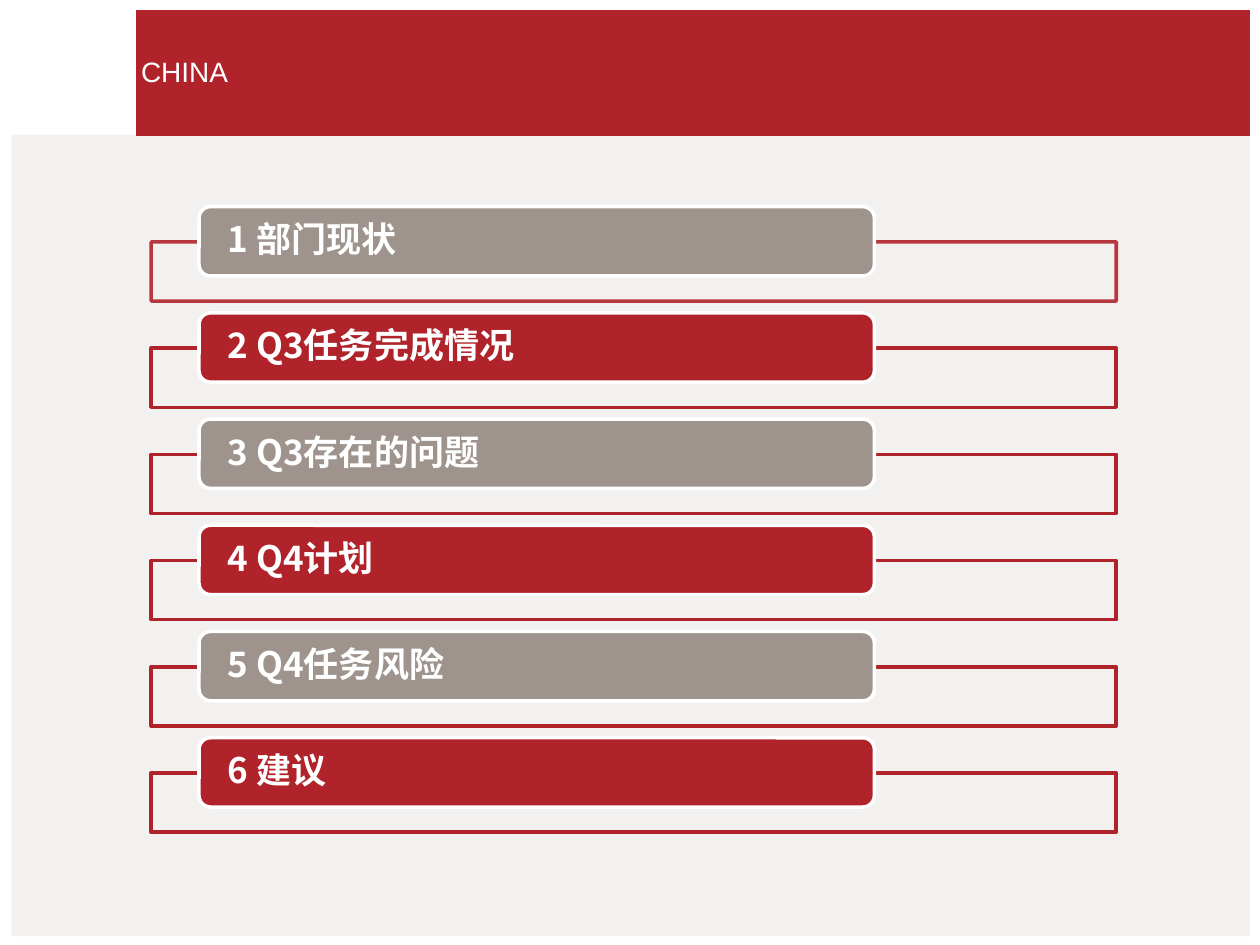
from dataclasses import dataclass
from typing import Optional

from lxml.etree import SubElement
from pptx import Presentation
from pptx.dml.color import RGBColor
from pptx.dml.fill import FillFormat
from pptx.enum.shapes import MSO_SHAPE
from pptx.enum.text import MSO_ANCHOR, MSO_AUTO_SIZE, PP_ALIGN
from pptx.oxml.ns import qn
from pptx.shapes.autoshape import Shape
from pptx.slide import Slide
from pptx.util import Inches, Pt

COLORS = {"red": "B0232A", "taupe": "9E948D", "panel": "EFEDEC", "white": "FFFFFF"}
FIRST_TOP = 1.64
ROW_PITCH = 0.843
FRAME_OFFSET = 0.28


@dataclass
class Area:
    left: float
    top: float
    width: float
    height: float


@dataclass
class AgendaItem:
    text: str
    color: str
    frame_opacity: int = 100


AGENDA = [
    AgendaItem("1 部门现状", "taupe", 90),
    AgendaItem("2 Q3任务完成情况", "red"),
    AgendaItem("3 Q3存在的问题", "taupe"),
    AgendaItem("4 Q4计划", "red"),
    AgendaItem("5 Q4任务风险", "taupe"),
    AgendaItem("6 建议", "red"),
]


def paint(fill: FillFormat, color: str) -> None:
    fill.solid()
    fill.fore_color.rgb = RGBColor.from_string(COLORS[color])


def set_opacity(shape: Shape, color: str, percent: int) -> None:
    for element in shape.element.spPr.iter(qn("a:srgbClr")):
        if element.get("val") == COLORS[color]:
            SubElement(element, qn("a:alpha"), val=str(percent * 1000))


def add_box(page: Slide, kind: MSO_SHAPE, area: Area,
            fill: Optional[str] = None, line: Optional[str] = None) -> Shape:
    box = page.shapes.add_shape(kind, Inches(area.left), Inches(area.top),
                                Inches(area.width), Inches(area.height))
    box.shadow.inherit = False
    if fill:
        paint(box.fill, fill)
    else:
        box.fill.background()
    if line:
        paint(box.line.fill, line)
        box.line.width = Pt(2)
    else:
        box.line.fill.background()
    return box


def write_text(box: Shape, text: str, font: str, size: int, bold: bool) -> None:
    frame = box.text_frame
    frame.text = text
    frame.word_wrap = True
    frame.auto_size = MSO_AUTO_SIZE.NONE
    frame.vertical_anchor = MSO_ANCHOR.MIDDLE
    paragraph = frame.paragraphs[0]
    paragraph.alignment = PP_ALIGN.LEFT
    for span in paragraph.runs:
        span.font.name = font
        span.font.size = Pt(size)
        span.font.bold = bold
        span.font.color.rgb = RGBColor.from_string(COLORS["white"])
        SubElement(span.font._element, qn("a:ea"), typeface=font)


def add_header(page: Slide) -> None:
    panel = add_box(page, MSO_SHAPE.RECTANGLE, Area(0.09, 1.07, 9.83, 6.36), "panel")
    set_opacity(panel, "panel", 76)
    add_box(page, MSO_SHAPE.RECTANGLE, Area(1.08, 0.08, 8.84, 1), "red")
    title = page.shapes.title
    title.left, title.top = Inches(1.02), Inches(0.38)
    title.width, title.height = Inches(1.01), Inches(0.37)
    write_text(title, "CHINA", "Arial", 16, False)
    page.shapes.element.append(title.element)


def add_agenda_item(page: Slide, item: AgendaItem, top: float) -> None:
    outline = add_box(page, MSO_SHAPE.RECTANGLE,
                      Area(1.2, top + FRAME_OFFSET, 7.66, 0.47), line="red")
    if item.frame_opacity < 100:
        set_opacity(outline, "red", item.frame_opacity)
    label = add_box(page, MSO_SHAPE.ROUNDED_RECTANGLE,
                    Area(1.58, top, 5.36, 0.55), item.color, "white")
    write_text(label, item.text, "Noto Sans CJK SC", 20, True)
    frame = label.text_frame
    frame.margin_left = frame.margin_right = Inches(0.2)
    frame.margin_top = frame.margin_bottom = 0
    frame.paragraphs[0].line_spacing = 0.9
    frame.paragraphs[0].space_after = Pt(7)


def main() -> None:
    deck = Presentation()
    deck.slide_width, deck.slide_height = Inches(10), Inches(7.5)
    page = deck.slides.add_slide(deck.slide_layouts[5])
    add_header(page)
    for row, item in enumerate(AGENDA):
        add_agenda_item(page, item, FIRST_TOP + row * ROW_PITCH)
    deck.save("out.pptx")


if __name__ == "__main__":
    main()
